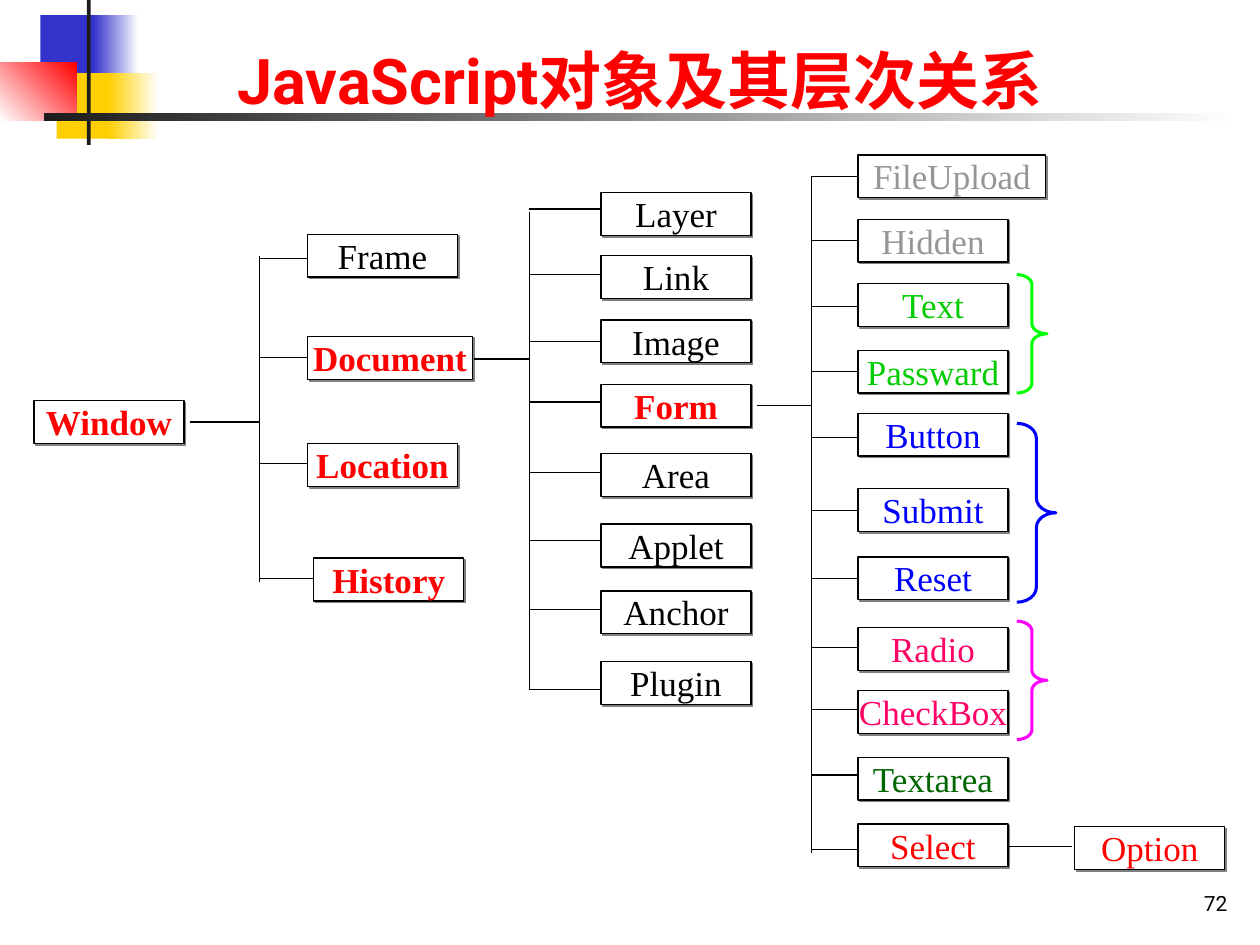
from lxml import etree
from pptx import Presentation
from pptx.dml.color import RGBColor
from pptx.enum.shapes import MSO_CONNECTOR, MSO_SHAPE
from pptx.enum.text import MSO_ANCHOR, PP_ALIGN
from pptx.oxml import parse_xml
from pptx.oxml.ns import qn
from pptx.util import Inches, Pt

RECTANGLE, BRACE = MSO_SHAPE.RECTANGLE, MSO_SHAPE.RIGHT_BRACE
STRAIGHT = MSO_CONNECTOR.STRAIGHT
TOP, MIDDLE, BOTTOM = MSO_ANCHOR.TOP, MSO_ANCHOR.MIDDLE, MSO_ANCHOR.BOTTOM
CENTER, RIGHT = PP_ALIGN.CENTER, PP_ALIGN.RIGHT

COLORS = {
    "black": "000000", "white": "FFFFFF", "red": "FF0000", "grey": "969696",
    "green": "00CC00", "lime": "00FF00", "blue": "0000FF", "pink": "FF0066",
    "magenta": "FF00FF", "forest": "006600", "indigo": "3333CC",
    "yellow": "FFCF01", "charcoal": "1C1C1C",
}
TITLE_FONT, NODE_FONT = "Roboto", "Times New Roman"
NODE_WIDTH, NODE_HEIGHT = 1.19, 0.34

# Left, top, width, height, first colour, last colour, gradient angle
DECORATION = [
    (0.32, 0.12, 0.48, 0.52, "indigo", None, 0),
    (0.74, 0.12, 0.36, 0.52, "indigo", "white", 0),
    (0.45, 0.58, 0.46, 0.52, "yellow", None, 0),
    (0.86, 0.58, 0.40, 0.52, "yellow", "white", 0),
    (0, 0.50, 0.61, 0.46, "white", "red", 45),
    (0.69, 0, 0.03, 1.15, "charcoal", None, 0),
    (0.35, 0.90, 9.51, 0.06, "charcoal", "white", 0),
]

# Each node: label, top, height of its branch, colour, bold
LEVELS = [
    {"trunk": (2.06, 2.03, 4.62), "stem": (1.51, 3.35), "left": 2.44, "nodes": [
        ("Frame", 1.86, 2.05, "black", False),
        ("Document", 2.67, 2.84, "red", True),
        ("Location", 3.52, 3.68, "red", True),
        ("History", 4.43, 4.59, "red", True)]},
    {"trunk": (4.20, 1.68, 5.47), "stem": (3.76, 2.85), "left": 4.77, "nodes": [
        ("Layer", 1.53, 1.66, "black", False),
        ("Link", 2.03, 2.18, "black", False),
        ("Image", 2.54, 2.71, "black", False),
        ("Form", 3.05, 3.19, "red", True),
        ("Area", 3.60, 3.75, "black", False),
        ("Applet", 4.16, 4.29, "black", False),
        ("Anchor", 4.69, 4.84, "black", False),
        ("Plugin", 5.25, 5.47, "black", False)]},
    {"trunk": (6.44, 1.40, 6.77), "stem": (6.01, 3.22), "left": 6.81, "nodes": [
        ("FileUpload", 1.23, 1.40, "grey", False),
        ("Hidden", 1.74, 1.91, "grey", False),
        ("Text", 2.25, 2.43, "green", False),
        ("Passward", 2.78, 2.95, "green", False),
        ("Button", 3.28, 3.47, "blue", False),
        ("Submit", 3.88, 4.05, "blue", False),
        ("Reset", 4.42, 4.59, "blue", False),
        ("Radio", 4.98, 5.14, "pink", False),
        ("CheckBox", 5.48, 5.63, "pink", False),
        ("Textarea", 6.01, 6.15, "forest", False),
        ("Select", 6.54, 6.74, "red", False)]},
]
SHIFTED_LEFT = {"History": 2.49}
WIDER = {"Document": 1.31, "FileUpload": 1.49}

# Top, width, height, curve share, colour
BRACES = [
    (2.18, 0.24, 0.94, 0.33, "lime"),
    (3.36, 0.31, 1.42, 0.38, "blue"),
    (4.93, 0.24, 0.94, 0.33, "magenta"),
]


def rgb(name):
    return RGBColor.from_string(COLORS[name])


def add_preset(slide, kind, left, top, width, height):
    shape = slide.shapes.add_shape(
        kind, Inches(left), Inches(top), Inches(width), Inches(height))
    shape.shadow.inherit = False
    return shape


def write_text(shape, text, font_name, size, color, bold, alignment, anchor):
    frame = shape.text_frame
    frame.text = text
    frame.vertical_anchor = anchor
    paragraph = frame.paragraphs[0]
    paragraph.alignment = alignment
    font = paragraph.font
    font.name, font.size, font.bold = font_name, Pt(size), bold
    font.color.rgb = rgb(color)


def add_decoration(slide, left, top, width, height, first, last, angle):
    shape = add_preset(slide, RECTANGLE, left, top, width, height)
    shape.line.fill.background()
    if last is None:
        shape.fill.solid()
        shape.fill.fore_color.rgb = rgb(first)
        return
    shape.fill.gradient()
    shape.fill.gradient_angle = angle
    for stop, color in zip(shape.fill.gradient_stops, (first, last)):
        stop.color.rgb = rgb(color)


def add_title(slide, text):
    """Fill the title placeholder and bring it in front of the decoration."""
    title = slide.shapes.title
    title.left, title.top = Inches(1.22), Inches(0.28)
    title.width, title.height = Inches(7.72), Inches(0.7)
    write_text(title, text, TITLE_FONT, 36, "red", True, CENTER, MIDDLE)
    slide.shapes.element.append(title.element)


def add_slide_number(slide, number):
    box = slide.shapes.add_textbox(
        Inches(7.76), Inches(6.82), Inches(2.08), Inches(0.5))
    box.text_frame.word_wrap = True
    write_text(box, number, TITLE_FONT, 12, "black", False, RIGHT, BOTTOM)


def add_hard_shadow(shape):
    effects = shape.element.spPr.find(qn("a:effectLst"))
    effects.append(parse_xml(
        '<a:outerShdw xmlns:a="http://schemas.openxmlformats.org/drawingml/2006/main"'
        ' dist="17961" dir="2700000" algn="ctr" rotWithShape="0">'
        '<a:srgbClr val="808080"/></a:outerShdw>'))


def add_node(slide, label, left, top, color, bold):
    shape = add_preset(slide, RECTANGLE, SHIFTED_LEFT.get(label, left), top,
                       WIDER.get(label, NODE_WIDTH), NODE_HEIGHT)
    shape.fill.solid()
    shape.fill.fore_color.rgb = rgb("white")
    shape.line.color.rgb = rgb("black")
    shape.line.width = Pt(0.75)
    add_hard_shadow(shape)
    frame = shape.text_frame
    frame.margin_left = frame.margin_right = 0
    frame.margin_top = frame.margin_bottom = 0
    frame.word_wrap = False
    write_text(shape, label, NODE_FONT, 20, color, bold, CENTER, TOP)


def add_line(slide, x1, y1, x2, y2):
    line = slide.shapes.add_connector(
        STRAIGHT, Inches(x1), Inches(y1), Inches(x2), Inches(y2))
    line.line.color.rgb = rgb("black")
    line.line.width = Pt(0.75)
    etree.SubElement(line.element.spPr, qn("a:effectLst"))


def add_level(slide, trunk, stem, left, nodes):
    """Draw one column of nodes, joined by branches to a vertical trunk."""
    trunk_x, trunk_top, trunk_bottom = trunk
    stem_x, stem_y = stem
    for label, top, _, color, bold in nodes:
        add_node(slide, label, left, top, color, bold)
    add_line(slide, trunk_x, trunk_top, trunk_x, trunk_bottom)
    add_line(slide, stem_x, stem_y, trunk_x, stem_y)
    for label, _, branch_y, _, _ in nodes:
        add_line(slide, trunk_x, branch_y, SHIFTED_LEFT.get(label, left), branch_y)


def add_brace(slide, top, width, height, curve, color):
    brace = add_preset(slide, BRACE, 8.07, top, width, height)
    brace.adjustments[0] = curve
    brace.fill.background()
    brace.line.color.rgb = rgb(color)
    brace.line.width = Pt(1.75)


def main():
    presentation = Presentation()
    presentation.slide_width, presentation.slide_height = Inches(10), Inches(7.5)
    slide = presentation.slides.add_slide(presentation.slide_layouts[5])
    for decoration in DECORATION:
        add_decoration(slide, *decoration)
    add_title(slide, "JavaScript对象及其层次关系")
    add_slide_number(slide, "72")
    add_node(slide, "Window", 0.27, 3.18, "red", True)
    for level in LEVELS:
        add_level(slide, **level)
    add_node(slide, "Option", 8.53, 6.56, "red", False)
    add_line(slide, 8, 6.72, 8.51, 6.72)
    for brace in BRACES:
        add_brace(slide, *brace)
    presentation.save("out.pptx")


if __name__ == "__main__":
    main()
